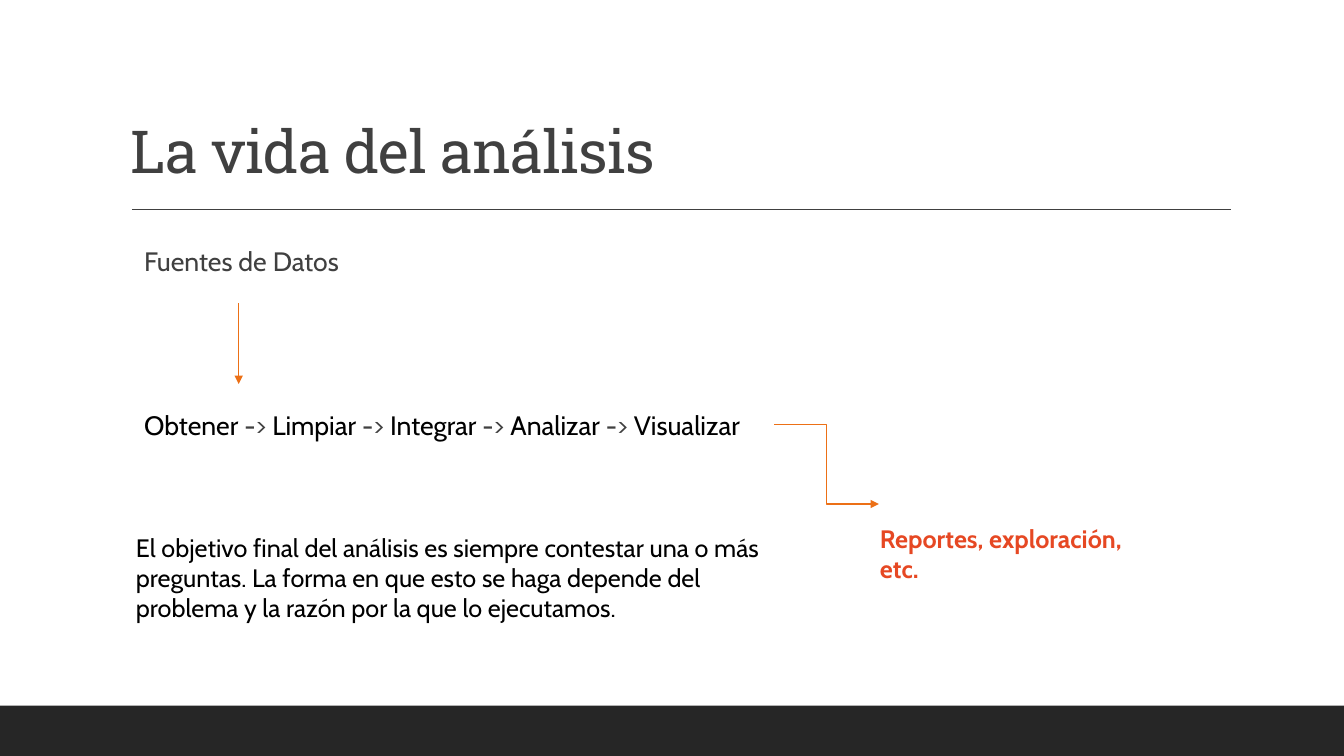
from dataclasses import dataclass

from lxml import etree
from pptx import Presentation
from pptx.dml.color import RGBColor
from pptx.enum.shapes import MSO_CONNECTOR, MSO_SHAPE
from pptx.enum.text import MSO_ANCHOR
from pptx.oxml.ns import qn
from pptx.util import Pt

RECTANGLE = MSO_SHAPE.RECTANGLE
STRAIGHT, ELBOW = MSO_CONNECTOR.STRAIGHT, MSO_CONNECTOR.ELBOW
TOP, BOTTOM = MSO_ANCHOR.TOP, MSO_ANCHOR.BOTTOM

SLIDE_WIDTH, SLIDE_HEIGHT = 960, 540
FOOTER_HEIGHT = 36
GREY, BLACK, ORANGE, RED, CHARCOAL = "404040", "000000", "EC7016", "E64823", "262626"
STEPS = ["Obtener", "Limpiar", "Integrar", "Analizar", "Visualizar"]


@dataclass
class Text:
    left: float
    top: float
    width: float
    height: float
    runs: list[tuple[str, str]]
    size: float
    font: str = "Cabin"
    bold: bool = False
    inset: float = 7.2
    line_spacing: float = 1.0
    anchor: MSO_ANCHOR = TOP
    tracking: float = 0


@dataclass
class Line:
    start: tuple[float, float]
    end: tuple[float, float]
    color: str
    kind: MSO_CONNECTOR = STRAIGHT
    arrow: bool = True


def rgb(color: str) -> RGBColor:
    return RGBColor.from_string(color)


def draw_text(slide, text: Text) -> None:
    box = slide.shapes.add_textbox(Pt(text.left), Pt(text.top), Pt(text.width), Pt(text.height))
    frame = box.text_frame
    frame.word_wrap = True
    frame.vertical_anchor = text.anchor
    frame.margin_left = frame.margin_right = Pt(text.inset)
    frame.margin_top = frame.margin_bottom = Pt(3.6)
    paragraph = frame.paragraphs[0]
    paragraph.line_spacing = text.line_spacing
    for wording, color in text.runs:
        run = paragraph.add_run()
        run.text = wording
        run.font.name = text.font
        run.font.size = Pt(text.size)
        run.font.bold = text.bold
        run.font.color.rgb = rgb(color)
        if text.tracking:
            run.font._element.set("spc", str(round(text.tracking * 100)))


def draw_line(slide, line: Line) -> None:
    points = [Pt(value) for value in (*line.start, *line.end)]
    connector = slide.shapes.add_connector(line.kind, *points)
    connector.line.color.rgb = rgb(line.color)
    connector.line.width = Pt(1)
    if line.arrow:
        outline = connector.line._get_or_add_ln()
        etree.SubElement(outline, qn("a:tailEnd"), type="triangle")
    etree.SubElement(connector._element.spPr, qn("a:effectLst"))


def main() -> None:
    presentation = Presentation()
    presentation.slide_width = Pt(SLIDE_WIDTH)
    presentation.slide_height = Pt(SLIDE_HEIGHT)
    slide = presentation.slides.add_slide(presentation.slide_layouts[6])

    # Footer band
    footer = slide.shapes.add_shape(
        RECTANGLE, 0, Pt(SLIDE_HEIGHT - FOOTER_HEIGHT), Pt(SLIDE_WIDTH), Pt(FOOTER_HEIGHT))
    footer.shadow.inherit = False
    footer.fill.solid()
    footer.fill.fore_color.rgb = rgb(CHARCOAL)
    footer.line.fill.background()

    # Process steps, joined by grey arrows in the text
    process = [(STEPS[0], BLACK)]
    for step in STEPS[1:]:
        process += [(" -> ", GREY), (step, BLACK)]

    texts = [
        Text(86.4, 97.9, 636.5, 38.9, [("La vida del análisis", GREY)], 42.3,
             font="Roboto Slab", line_spacing=0.9, anchor=BOTTOM, tracking=-0.5),
        Text(103, 169.2, 200, 34, [("Fuentes de Datos", GREY)], 19, inset=0, line_spacing=1.1),
        Text(103, 286.3, 446, 34, process, 19, inset=0, line_spacing=1.1),
        Text(621.4, 370, 215, 50, [("Reportes, exploración, etc.", RED)], 18, bold=True),
        Text(90, 376.6, 466.6, 72.7,
             [("El objetivo final del análisis es siempre contestar una o más preguntas. "
               "La forma en que esto se haga depende del problema y la razón por la que "
               "lo ejecutamos.", BLACK)], 18),
    ]
    for text in texts:
        draw_text(slide, text)

    # Title rule, then the arrows into and out of the process
    lines = [
        Line((94.3, 149.5), (879, 149.5), GREY, arrow=False),
        Line((170.5, 216.7), (170.5, 274.3), ORANGE),
        Line((553, 303.1), (627.8, 360), ORANGE, kind=ELBOW),
    ]
    for line in lines:
        draw_line(slide, line)

    presentation.save("out.pptx")


if __name__ == "__main__":
    main()
